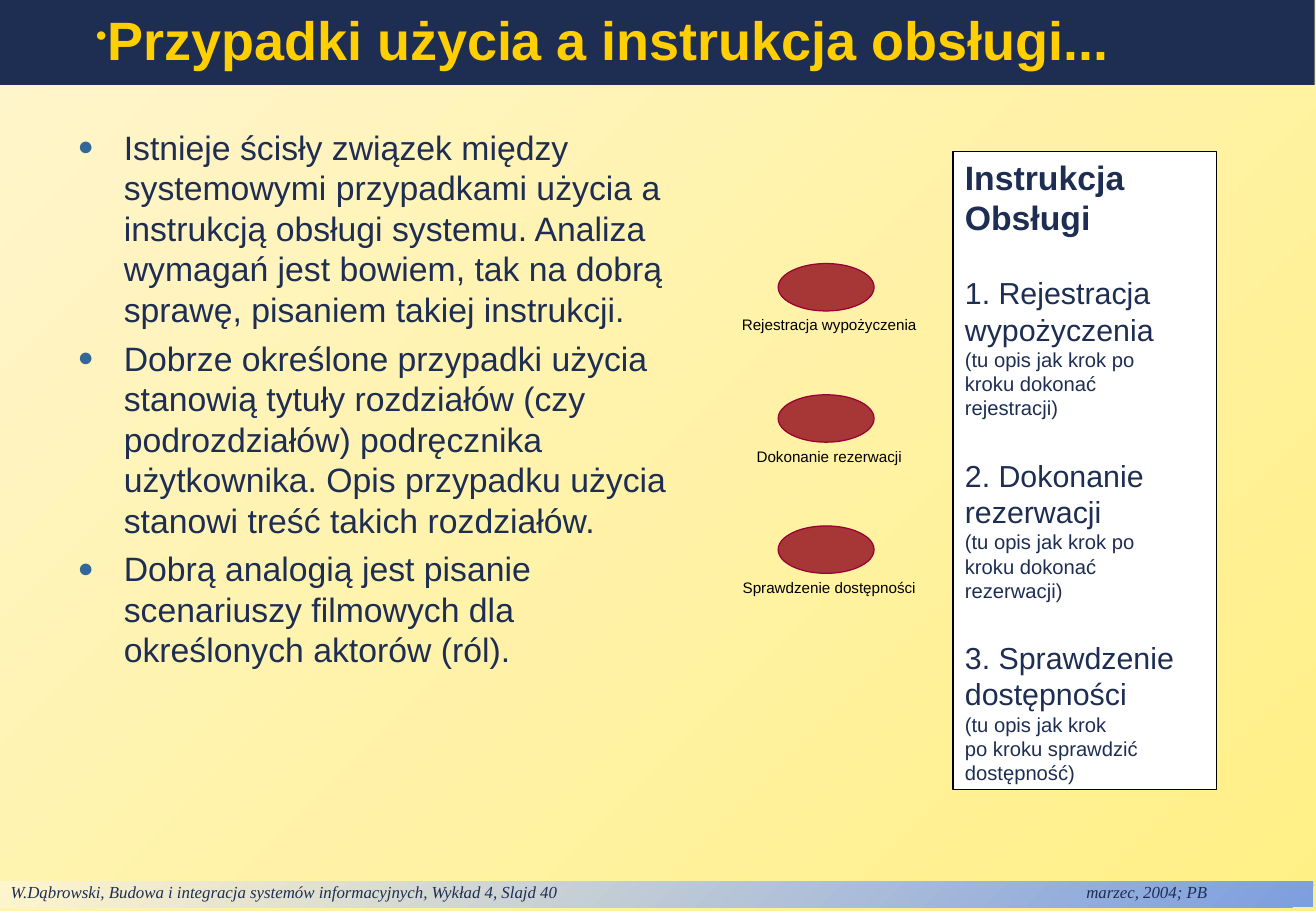
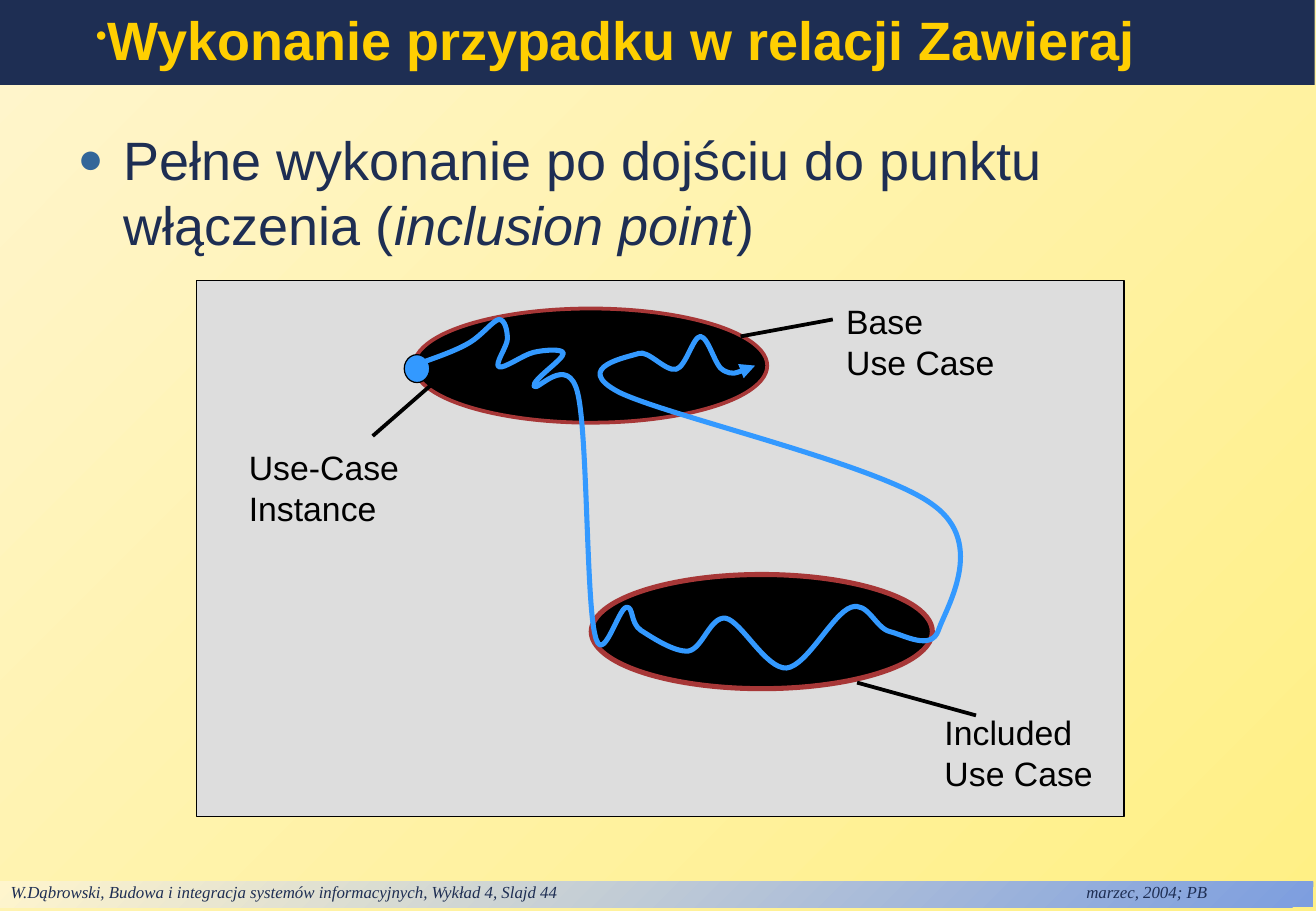
import dataclasses

import lxml.etree
import pptx
import pptx.dml.color
import pptx.enum.shapes
import pptx.enum.text
import pptx.oxml.ns
import pptx.util

Inches = pptx.util.Inches
Pt = pptx.util.Pt
qn = pptx.oxml.ns.qn
SHAPE = pptx.enum.shapes.MSO_SHAPE
ANCHOR = pptx.enum.text.MSO_ANCHOR
ALIGN = pptx.enum.text.PP_ALIGN
AUTO = pptx.enum.text.MSO_AUTO_SIZE


@dataclasses.dataclass(frozen=True)
class Theme:
    navy: str = "1E2E53"
    gold: str = "FFCF01"
    bullet: str = "336699"
    cream: str = "FFF5CD"
    yellow: str = "FFF085"
    band: str = "7D9EDF"
    brick: str = "A73737"
    crimson: str = "990033"
    trace: str = "3399FF"
    panel: str = "DDDDDD"
    black: str = "000000"
    white: str = "FFFFFF"
    font: str = "Arial"
    footer_font: str = "Times New Roman"
    title_size: float = 32
    text_size: float = 20
    chapter_size: float = 18
    note_size: float = 12
    footer_size: float = 10
    caption_size: float = 9


T = Theme()

# Trace of the use-case instance: a start point, then three points per curve,
# in hundredths of an inch from its top left corner
TRACE = [
    (0, 35),
    (14, 30), (28, 25), (38, 19), (48, 13), (57, 1), (62, 0),
    (67, 0), (69, 9), (69, 16), (69, 22), (58, 37), (62, 39),
    (66, 41), (82, 29), (91, 27), (100, 25), (115, 24), (115, 28),
    (115, 33), (89, 50), (91, 55), (93, 60), (119, 27), (127, 61),
    (135, 95), (134, 230), (141, 259), (147, 288), (160, 238), (167, 237),
    (173, 236), (170, 250), (179, 256), (187, 261), (206, 274), (218, 273),
    (230, 271), (236, 244), (249, 246), (262, 249), (282, 288), (299, 287),
    (316, 285), (337, 242), (352, 237), (366, 232), (372, 254), (384, 257),
    (396, 260), (418, 273), (424, 256), (430, 238), (464, 185), (420, 153),
    (377, 120), (202, 80), (161, 60), (121, 39), (169, 31), (177, 28),
    (185, 25), (199, 43), (208, 41), (216, 39), (222, 14), (228, 14),
    (235, 15), (240, 39), (247, 42), (255, 46), (264, 42), (273, 38),
]


# ---- Shared helpers ----
def rgb(color):
    return pptx.dml.color.RGBColor.from_string(color)


def box(*lengths):
    return [Inches(v) for v in lengths]


def add_run(p, text, size, color, bold=False, italic=False, font=T.font):
    r = p.add_run()
    r.text = text
    r.font.name, r.font.size = font, Pt(size)
    r.font.bold, r.font.italic = bold, italic
    r.font.color.rgb = rgb(color)


def set_frame(tf, insets, wrap=True, anchor=ANCHOR.TOP, auto=AUTO.NONE):
    tf.word_wrap, tf.auto_size, tf.vertical_anchor = wrap, auto, anchor
    (tf.margin_left, tf.margin_top,
     tf.margin_right, tf.margin_bottom) = box(*insets)


def next_paragraph(tf, index, align=ALIGN.LEFT):
    p = tf.add_paragraph() if index else tf.paragraphs[0]
    p.alignment = align
    return p


def set_bullet(p, char, color, percent, margin, indent):
    pPr = p._p.get_or_add_pPr()
    pPr.set("marL", str(Inches(margin)))
    pPr.set("indent", str(Inches(indent)))
    clr = lxml.etree.SubElement(pPr, qn("a:buClr"))
    lxml.etree.SubElement(clr, qn("a:srgbClr"), val=color)
    lxml.etree.SubElement(pPr, qn("a:buSzPct"), val=str(percent * 1000))
    lxml.etree.SubElement(pPr, qn("a:buChar"), char=char)


def set_gradient(fill, start, end):
    fill.gradient()
    fill.gradient_angle = 135
    for stop, color, position in zip(fill.gradient_stops, (start, end), (0, 1)):
        stop.color.rgb, stop.position = rgb(color), position


def set_line(sp, color, width):
    sp.line.color.rgb, sp.line.width = rgb(color), Pt(width)


def add_shape(shapes, kind, place, fill, line, width):
    sp = shapes.add_shape(kind, *box(*place))
    sp.shadow.inherit = False
    sp.fill.solid()
    sp.fill.fore_color.rgb = rgb(fill)
    set_line(sp, line, width)
    return sp


def add_label(shapes, place, lines, size, insets, align=ALIGN.LEFT):
    tf = shapes.add_textbox(*box(*place)).text_frame
    set_frame(tf, insets, wrap=False, auto=AUTO.SHAPE_TO_FIT_TEXT)
    for i, line in enumerate(lines):
        add_run(next_paragraph(tf, i, align), line, size, T.black)


# ---- Parts of every slide ----
def add_footer(slide, number):
    sp = slide.shapes.add_shape(SHAPE.RECTANGLE, *box(-0.01, 7.26, 10.83, 0.21))
    sp.shadow.inherit = False
    set_gradient(sp.fill, T.band, T.cream)
    sp.line.fill.background()
    set_frame(sp.text_frame, (0.1, 0, 0.1, 0.04))
    p = next_paragraph(sp.text_frame, 0)
    tabs = lxml.etree.SubElement(p._p.get_or_add_pPr(), qn("a:tabLst"))
    lxml.etree.SubElement(tabs, qn("a:tab"), pos=str(Inches(8.86)), algn="l")
    add_run(p, "W.Dąbrowski, Budowa i integracja systemów informacyjnych, "
               f"Wykład 4, Slajd {number}\tmarzec, 2004; PB",
            T.footer_size, T.navy, italic=True, font=T.footer_font)


def fill_title(sp, text):
    sp.left, sp.top, sp.width, sp.height = box(0, 0, 10.83, 0.7)
    sp.fill.solid()
    sp.fill.fore_color.rgb = rgb(T.navy)
    set_frame(sp.text_frame, (0.1, 0.05, 0.1, 0.05), anchor=ANCHOR.MIDDLE)
    p = next_paragraph(sp.text_frame, 0)
    set_bullet(p, "•", T.gold, 60, 0.29, 0.4)
    p.line_spacing = 0.9
    add_run(p, text, T.title_size, T.gold, bold=True)


def fill_body(sp, width, items, size):
    """Each item is a list of (text, italic) runs."""
    sp.left, sp.top, sp.width, sp.height = box(0.54, 0.99, width, 5.79)
    set_frame(sp.text_frame, (0.1, 0.05, 0.1, 0.05))
    for i, runs in enumerate(items):
        p = next_paragraph(sp.text_frame, i)
        set_bullet(p, "●", T.bullet, 80, 0.38, -0.38)
        p.space_before = Pt(5 if i else 0)
        for text, italic in runs:
            add_run(p, text, size, T.navy, italic=italic)


def add_slide(prs, number, title, body_width, items, size):
    slide = prs.slides.add_slide(prs.slide_layouts[1])
    fill_title(slide.shapes.title, title)
    fill_body(slide.placeholders[1], body_width, items, size)
    add_footer(slide, number)
    return slide


# ---- Use cases and user manual ----
def add_use_cases(shapes, left, top, names):
    for i, name in enumerate(names):
        y = top + 1.08 * i
        add_shape(shapes, SHAPE.OVAL, (left + 0.3, y, 0.79, 0.39),
                  T.brick, T.crimson, 0)
        add_label(shapes, (left, y + 0.43, 1.44, 0.15), [name],
                  T.caption_size, (0, 0, 0, 0), ALIGN.CENTER)


def add_manual(shapes, place, heading, chapters):
    sp = add_shape(shapes, SHAPE.RECTANGLE, place, T.white, T.black, 0.75)
    tf = sp.text_frame
    set_frame(tf, (0.1, 0.05, 0.1, 0.05), anchor=ANCHOR.MIDDLE)
    for i, line in enumerate(heading):
        add_run(next_paragraph(tf, i), line, T.text_size, T.navy, bold=True)
    for name, note in chapters:
        lines = [(t, T.chapter_size) for t in name]
        lines += [(t, T.note_size) for t in note]
        for i, (line, size) in enumerate(lines):
            p = next_paragraph(tf, 1)
            p.space_before = Pt(0 if i else 21.7)
            add_run(p, line, size, T.navy)


# ---- Diagram of the include relation ----
def add_trace(shapes, left, top):
    fb = shapes.build_freeform(*TRACE[0], scale=Inches(0.01))
    fb.add_line_segments(TRACE[1:], close=False)
    sp = fb.convert_to_shape(*box(left, top))
    sp.shadow.inherit = False
    sp.fill.background()
    set_line(sp, T.trace, 3)
    lxml.etree.SubElement(sp.line._get_or_add_ln(), qn("a:tailEnd"),
                          type="triangle")
    # Turn every three straight steps into one cubic curve
    steps = list(sp._element.iter(qn("a:lnTo")))
    for i in range(0, len(steps), 3):
        curve = lxml.etree.Element(qn("a:cubicBezTo"))
        steps[i].addprevious(curve)
        for step in steps[i:i + 3]:
            curve.append(step[0])
            step.getparent().remove(step)


def add_pointer(shapes, x1, y1, x2, y2):
    line = shapes.add_connector(pptx.enum.shapes.MSO_CONNECTOR.STRAIGHT,
                                *box(x1, y1, x2, y2))
    set_line(line, T.black, 2.25)
    lxml.etree.SubElement(line._element.spPr, qn("a:effectLst"))


def add_include_diagram(slide, left, top, width, height):
    shapes = slide.shapes.add_group_shape().shapes
    add_shape(shapes, SHAPE.RECTANGLE, (left, top, width, height),
              T.panel, T.black, 0.75)
    # Base use case, included use case, instance
    for x, y, w, h, fill, line, weight in (
            (1.79, 0.23, 2.91, 0.94, T.black, T.brick, 2.25),
            (3.25, 2.42, 2.81, 0.94, T.black, T.brick, 3),
            (1.71, 0.61, 0.21, 0.23, T.trace, T.black, 0.75)):
        add_shape(shapes, SHAPE.OVAL, (left + x, top + y, w, h),
                  fill, line, weight)
    add_trace(shapes, left + 1.87, top + 0.32)
    for x1, y1, x2, y2 in ((5.24, 0.32, 4.48, 0.46),
                           (1.45, 1.28, 2.24, 0.59),
                           (5.44, 3.31, 6.42, 3.58)):
        add_pointer(shapes, left + x1, top + y1, left + x2, top + y2)
    # Labels, wide enough for two lines each
    for x, y, lines in ((0.31, 1.31, ("Use-Case", "Instance")),
                        (5.23, 0.11, ("Base", "Use Case")),
                        (6.04, 3.49, ("Included", "Use Case"))):
        add_label(shapes, (left + x, top + y, 1.58, 0.79), lines,
                  T.text_size, (0.12, 0.06, 0.12, 0.06))


# ---- Slides ----
def build_manual_slide(prs):
    texts = (
        "Istnieje ścisły związek między systemowymi przypadkami użycia a "
        "instrukcją obsługi systemu. Analiza wymagań jest bowiem, tak na "
        "dobrą sprawę, pisaniem takiej instrukcji.",
        "Dobrze określone przypadki użycia stanowią tytuły rozdziałów (czy "
        "podrozdziałów) podręcznika użytkownika. Opis przypadku użycia "
        "stanowi treść takich rozdziałów.",
        "Dobrą analogią jest pisanie scenariuszy filmowych dla określonych "
        "aktorów (ról).")
    slide = add_slide(prs, 40, "Przypadki użycia a instrukcja obsługi...",
                      5.09, [[(t, False)] for t in texts], T.text_size)
    add_use_cases(slide.shapes, 6.11, 2.17,
                  ("Rejestracja wypożyczenia", "Dokonanie rezerwacji",
                   "Sprawdzenie dostępności"))
    add_manual(slide.shapes, (7.85, 1.25, 2.17, 5.25), ("Instrukcja", "Obsługi"), (
        (("1. Rejestracja", "wypożyczenia"),
         ("(tu opis jak krok po", "kroku dokonać", "rejestracji)")),
        (("2. Dokonanie", "rezerwacji"),
         ("(tu opis jak krok po", "kroku dokonać", "rezerwacji)")),
        (("3. Sprawdzenie", "dostępności"),
         ("(tu opis jak krok", "po kroku sprawdzić", "dostępność)"))))


def build_include_slide(prs):
    runs = [("Pełne wykonanie po dojściu do punktu włączenia (", False),
            ("inclusion point", True), (")", False)]
    slide = add_slide(prs, 44, "Wykonanie przypadku w relacji Zawieraj",
                      9.89, [runs], T.title_size)
    add_include_diagram(slide, 1.62, 2.31, 7.64, 4.41)


def main():
    prs = pptx.Presentation()
    prs.slide_width, prs.slide_height = box(10.84, 7.5)
    set_gradient(prs.slide_master.background.fill, T.yellow, T.cream)
    build_manual_slide(prs)
    build_include_slide(prs)
    prs.save("out.pptx")


if __name__ == "__main__":
    main()
